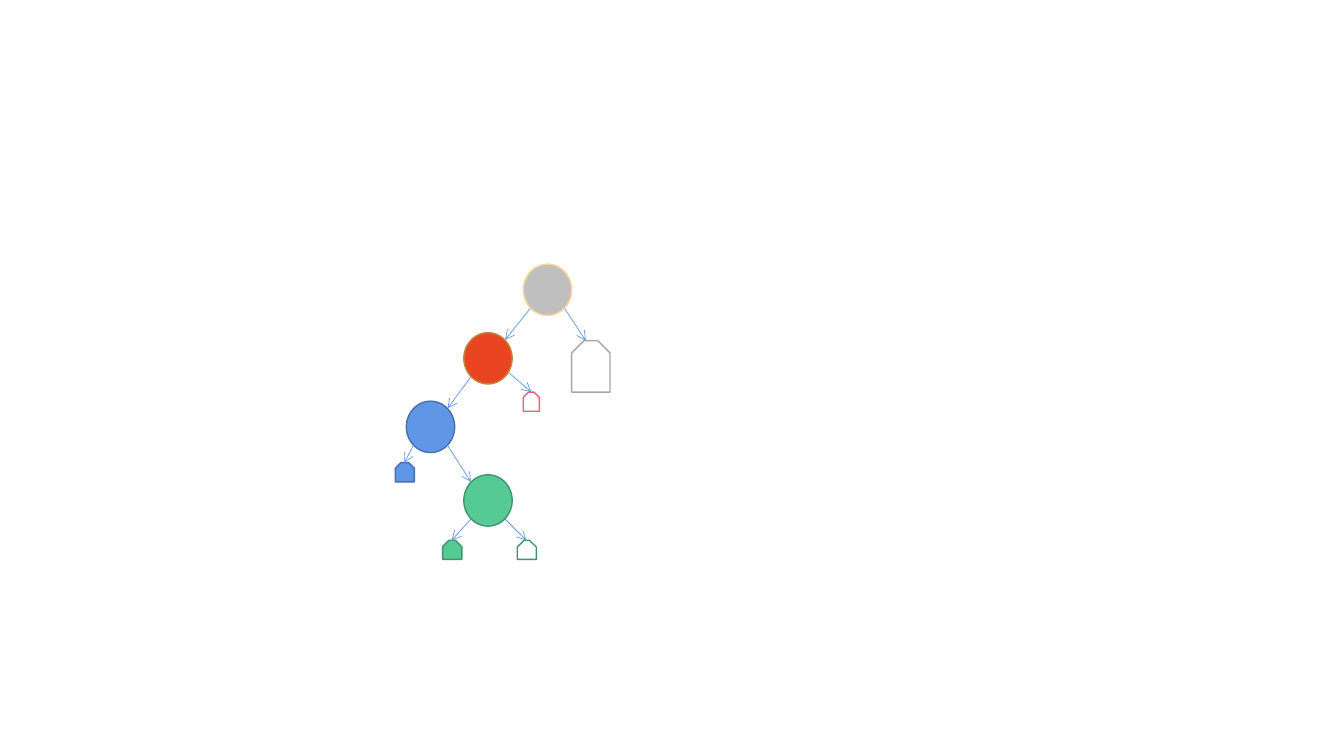
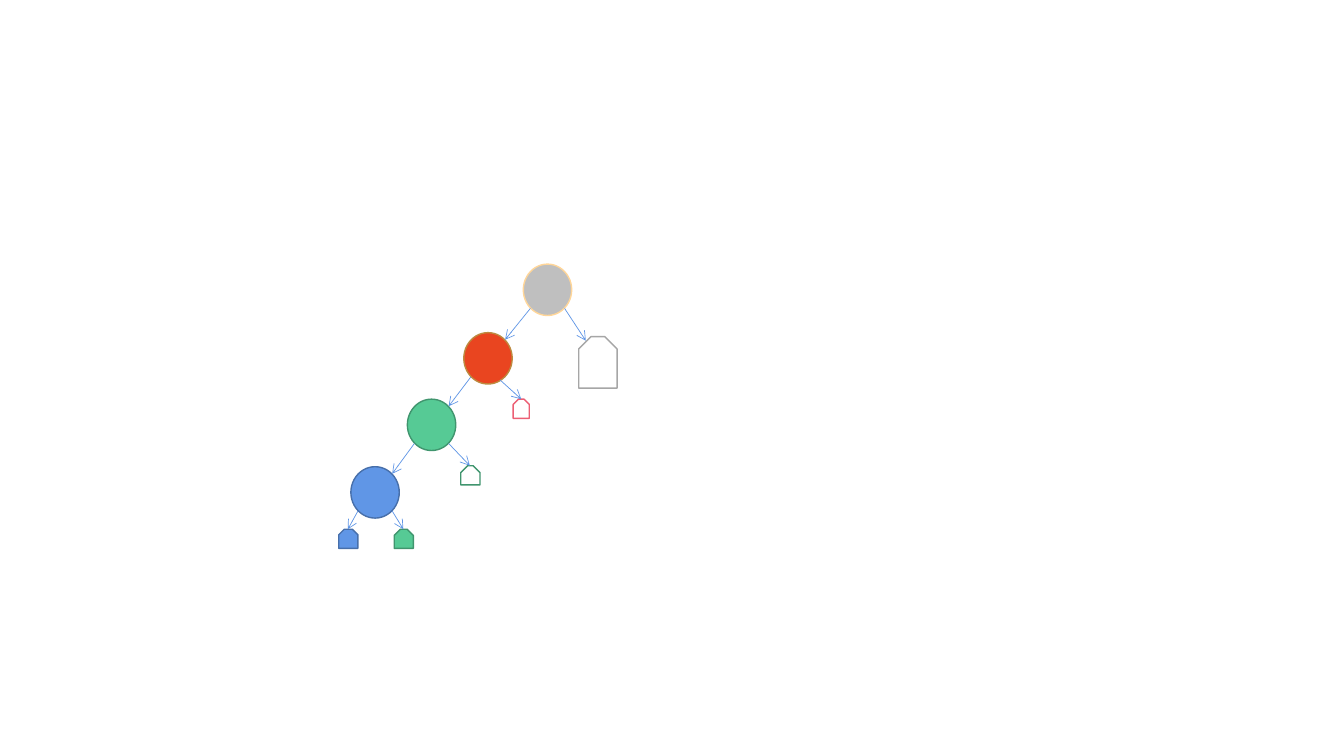
"""Draw two binary trees, before and after a rotation, on two slides."""
from dataclasses import dataclass
from typing import NamedTuple

import pptx
import pptx.dml.color
import pptx.enum.shapes
import pptx.oxml.ns
import pptx.oxml.xmlchemy
import pptx.presentation
import pptx.shapes.autoshape
import pptx.slide
import pptx.util
from lxml import etree

EMU_PER_PX = 9144
PAGE_WIDTH, PAGE_HEIGHT = 1333, 750
NODE_WIDTH, NODE_HEIGHT = 48, 51
INSET = 7

WHITE = pptx.dml.color.RGBColor(0xFF, 0xFF, 0xFF)
GREY = pptx.dml.color.RGBColor(0xBF, 0xBF, 0xBF)
GREY_EDGE = pptx.dml.color.RGBColor(0xA6, 0xA6, 0xA6)
SAND = pptx.dml.color.RGBColor(0xFF, 0xD6, 0x99)
RED = pptx.dml.color.RGBColor(0xE9, 0x45, 0x20)
BRONZE = pptx.dml.color.RGBColor(0xBD, 0x8A, 0x3F)
PINK = pptx.dml.color.RGBColor(0xEC, 0x5F, 0x74)
GREEN = pptx.dml.color.RGBColor(0x56, 0xCA, 0x95)
GREEN_EDGE = pptx.dml.color.RGBColor(0x40, 0x95, 0x6E)
BLUE = pptx.dml.color.RGBColor(0x60, 0x96, 0xE6)
BLUE_EDGE = pptx.dml.color.RGBColor(0x47, 0x6F, 0xAA)


class Point(NamedTuple):
    x: int
    y: int


class Style(NamedTuple):
    fill: pptx.dml.color.RGBColor
    line: pptx.dml.color.RGBColor


class LeafKind(NamedTuple):
    style: Style
    width: int
    height: int
    snip: float


class Arrow(NamedTuple):
    start: Point
    end: Point


@dataclass(frozen=True)
class Node:
    x: int
    y: int
    style: Style

    def corner(self, right: bool, bottom: bool) -> Point:
        return Point(
            self.x + (NODE_WIDTH - INSET if right else INSET),
            self.y + (NODE_HEIGHT - INSET if bottom else INSET),
        )

    @property
    def left_exit(self) -> Point:
        return self.corner(False, True)

    @property
    def right_exit(self) -> Point:
        return self.corner(True, True)

    @property
    def left_entry(self) -> Point:
        return self.corner(False, False)

    @property
    def right_entry(self) -> Point:
        return self.corner(True, False)


@dataclass(frozen=True)
class Leaf:
    x: int
    y: int
    kind: LeafKind

    @property
    def top(self) -> Point:
        return Point(self.x + self.kind.width // 2, self.y)


@dataclass(frozen=True)
class Tree:
    nodes: list[Node]
    leaves: list[Leaf]
    arrows: list[Arrow]


GREEN_STYLE = Style(GREEN, GREEN_EDGE)
BLUE_STYLE = Style(BLUE, BLUE_EDGE)
BIG_LEAF = LeafKind(Style(WHITE, GREY_EDGE), 38, 51, 0.32)
RED_LEAF = LeafKind(Style(WHITE, PINK), 16, 19, 0.33)
HOLLOW_LEAF = LeafKind(Style(WHITE, GREEN_EDGE), 19, 19, 0.36)
GREEN_LEAF = LeafKind(GREEN_STYLE, 19, 19, 0.33)
BLUE_LEAF = LeafKind(BLUE_STYLE, 19, 19, 0.29)

ROOT = Node(519, 262, Style(GREY, SAND))
PARENT = Node(460, 330, Style(RED, BRONZE))
SHARED_ARROWS = [
    Arrow(ROOT.left_exit, PARENT.right_entry),
    Arrow(ROOT.right_exit, Point(581, 338)),
]


def px(length: int) -> pptx.util.Emu:
    return pptx.util.Emu(length * EMU_PER_PX)


def tree_before() -> Tree:
    blue = Node(403, 398, BLUE_STYLE)
    green = Node(460, 471, GREEN_STYLE)
    red_leaf = Leaf(519, 389, RED_LEAF)
    hollow_leaf = Leaf(513, 536, HOLLOW_LEAF)
    green_leaf = Leaf(439, 536, GREEN_LEAF)
    blue_leaf = Leaf(392, 459, BLUE_LEAF)
    return Tree(
        [blue, green],
        [red_leaf, hollow_leaf, green_leaf, blue_leaf, Leaf(567, 338, BIG_LEAF)],
        [
            Arrow(PARENT.left_exit, blue.right_entry),
            Arrow(Point(505, 370), red_leaf.top),
            Arrow(blue.left_exit, blue_leaf.top),
            Arrow(blue.right_exit, green.left_entry),
            Arrow(green.left_exit, green_leaf.top),
            Arrow(green.right_exit, hollow_leaf.top),
        ],
    )


def tree_after() -> Tree:
    green = Node(404, 396, GREEN_STYLE)
    blue = Node(348, 463, BLUE_STYLE)
    red_leaf = Leaf(509, 396, RED_LEAF)
    hollow_leaf = Leaf(457, 462, HOLLOW_LEAF)
    green_leaf = Leaf(391, 525, GREEN_LEAF)
    blue_leaf = Leaf(336, 525, BLUE_LEAF)
    return Tree(
        [green, blue],
        [red_leaf, hollow_leaf, green_leaf, blue_leaf, Leaf(574, 334, BIG_LEAF)],
        [
            Arrow(PARENT.left_exit, green.right_entry),
            Arrow(Point(496, 377), red_leaf.top),
            Arrow(green.left_exit, blue.right_entry),
            Arrow(green.right_exit, hollow_leaf.top),
            Arrow(blue.left_exit, blue_leaf.top),
            Arrow(blue.right_exit, green_leaf.top),
        ],
    )


def paint(shape: pptx.shapes.autoshape.Shape, style: Style) -> None:
    shape.shadow.inherit = False
    shape.fill.solid()
    shape.fill.fore_color.rgb = style.fill
    shape.line.color.rgb = style.line
    shape.line.width = pptx.util.Pt(1)


def draw_node(page: pptx.slide.Slide, node: Node) -> None:
    circle = page.shapes.add_shape(
        pptx.enum.shapes.MSO_SHAPE.OVAL,
        px(node.x), px(node.y), px(NODE_WIDTH), px(NODE_HEIGHT),
    )
    paint(circle, node.style)


def draw_leaf(page: pptx.slide.Slide, leaf: Leaf) -> None:
    tag = page.shapes.add_shape(
        pptx.enum.shapes.MSO_SHAPE.SNIP_2_SAME_RECTANGLE,
        px(leaf.x), px(leaf.y), px(leaf.kind.width), px(leaf.kind.height),
    )
    tag.adjustments[0] = leaf.kind.snip
    tag.adjustments[1] = 0
    paint(tag, leaf.kind.style)


def draw_arrow(page: pptx.slide.Slide, arrow: Arrow) -> None:
    connector = page.shapes.add_connector(
        pptx.enum.shapes.MSO_CONNECTOR.STRAIGHT,
        px(arrow.start.x), px(arrow.start.y), px(arrow.end.x), px(arrow.end.y),
    )
    connector.line.color.rgb = BLUE
    connector.line.width = pptx.util.Pt(0.5)
    properties = connector._element.spPr
    outline = properties.find(pptx.oxml.ns.qn("a:ln"))
    etree.SubElement(outline, pptx.oxml.ns.qn("a:tailEnd"), type="arrow")
    etree.SubElement(properties, pptx.oxml.ns.qn("a:effectLst"))


def draw_tree(deck: pptx.presentation.Presentation, tree: Tree) -> None:
    page = deck.slides.add_slide(deck.slide_layouts[6])
    for node in [ROOT, PARENT, *tree.nodes]:
        draw_node(page, node)
    for leaf in tree.leaves:
        draw_leaf(page, leaf)
    for arrow in SHARED_ARROWS + tree.arrows:
        draw_arrow(page, arrow)


def main() -> None:
    deck = pptx.Presentation()
    deck.slide_width = px(PAGE_WIDTH)
    deck.slide_height = px(PAGE_HEIGHT)
    for tree in (tree_before(), tree_after()):
        draw_tree(deck, tree)
    deck.save("out.pptx")


if __name__ == "__main__":
    main()
